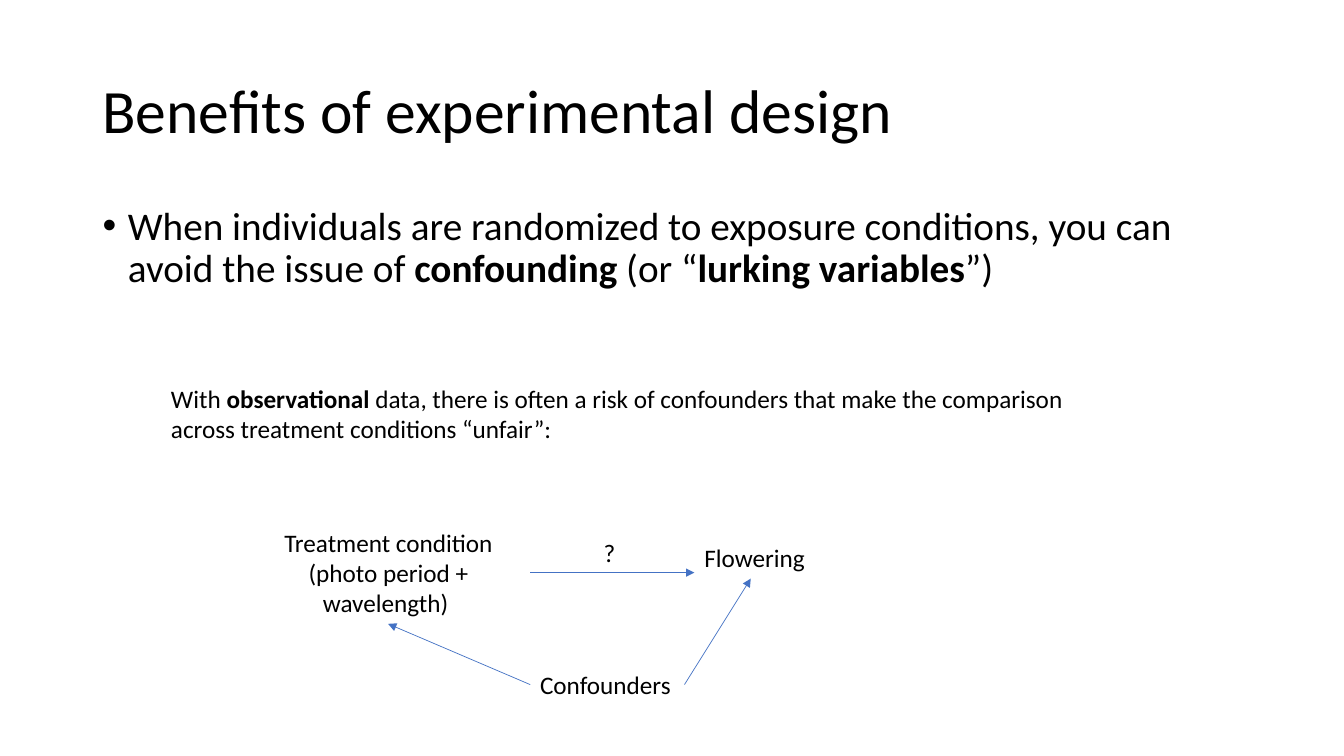
from lxml import etree
from pptx import Presentation
from pptx.dml.color import RGBColor
from pptx.enum.shapes import MSO_CONNECTOR
from pptx.enum.text import MSO_ANCHOR, MSO_AUTO_SIZE, PP_ALIGN
from pptx.oxml.ns import qn
from pptx.util import Cm, Pt


def rgb(value):
    return RGBColor.from_string(value)


def write(p, text, size):
    for i, part in enumerate(text.split("*")):
        r = p.add_run()
        r.text = part
        r.font.name = "Calibri"
        r.font.size = Pt(size)
        r.font.bold = i % 2 == 1
        r.font.color.rgb = rgb("000000")


prs = Presentation()
prs.slide_width, prs.slide_height = Cm(33.87), Cm(19.05)
slide = prs.slides.add_slide(prs.slide_layouts[1])
title, body = slide.placeholders

placeholders = [
    (title, 1.01, 3.68, MSO_ANCHOR.MIDDLE, 0, 44, "Benefits of experimental design"),
    (body, 5.08, 12.09, MSO_ANCHOR.TOP, 10, 28,
     "When individuals are randomized to exposure conditions, you can avoid "
     "the issue of *confounding* (or “*lurking variables*”)"),
]
for sp, top, height, anchor, space, size, text in placeholders:
    sp.left, sp.top, sp.width, sp.height = Cm(2.33), Cm(top), Cm(29.21), Cm(height)
    tf = sp.text_frame
    tf.auto_size = MSO_AUTO_SIZE.NONE
    tf.vertical_anchor = anchor
    p = tf.paragraphs[0]
    p.alignment = PP_ALIGN.LEFT
    p.line_spacing = 0.9
    p.space_before = Pt(space)
    write(p, text, size)

pPr = body.text_frame.paragraphs[0]._p.get_or_add_pPr()
pPr.set("marL", str(Cm(0.64)))
pPr.set("indent", str(-Cm(0.64)))
etree.SubElement(pPr, qn("a:buFont"), typeface="Arial")
etree.SubElement(pPr, qn("a:buChar"), char="•")

labels = [
    (4.06, 9.53, 23.06, 1.8, PP_ALIGN.LEFT, True,
     "With *observational* data, there is often a risk of confounders that make "
     "the comparison across treatment conditions “unfair”:"),
    (6.22, 13.16, 7.14, 2.57, PP_ALIGN.CENTER, True,
     "Treatment condition (photo period + wavelength) "),
    (14.96, 13.41, 0.81, 1.02, PP_ALIGN.LEFT, False, "?"),
    (17.5, 13.54, 7.14, 1.8, PP_ALIGN.LEFT, True, "Flowering"),
    (13.36, 16.74, 4.85, 1.02, PP_ALIGN.LEFT, True, "Confounders"),
]
for left, top, width, height, align, wrap, text in labels:
    sp = slide.shapes.add_textbox(Cm(left), Cm(top), Cm(width), Cm(height))
    tf = sp.text_frame
    tf.word_wrap = wrap
    tf.auto_size = MSO_AUTO_SIZE.SHAPE_TO_FIT_TEXT
    tf.paragraphs[0].alignment = align
    write(tf.paragraphs[0], text, 18)

arrows = [
    (13.36, 14.43, 17.5, 14.43),
    (17.25, 17.25, 18.92, 14.58),
    (13.36, 17.25, 9.78, 15.72),
]
for ends in arrows:
    arrow = slide.shapes.add_connector(MSO_CONNECTOR.STRAIGHT, *map(Cm, ends))
    arrow.line.color.rgb = rgb("4472C4")
    arrow.line.width = Pt(0.5)
    etree.SubElement(arrow.line._get_or_add_ln(), qn("a:tailEnd"), type="triangle")
    etree.SubElement(arrow._element.spPr, qn("a:effectLst"))

prs.save("out.pptx")
